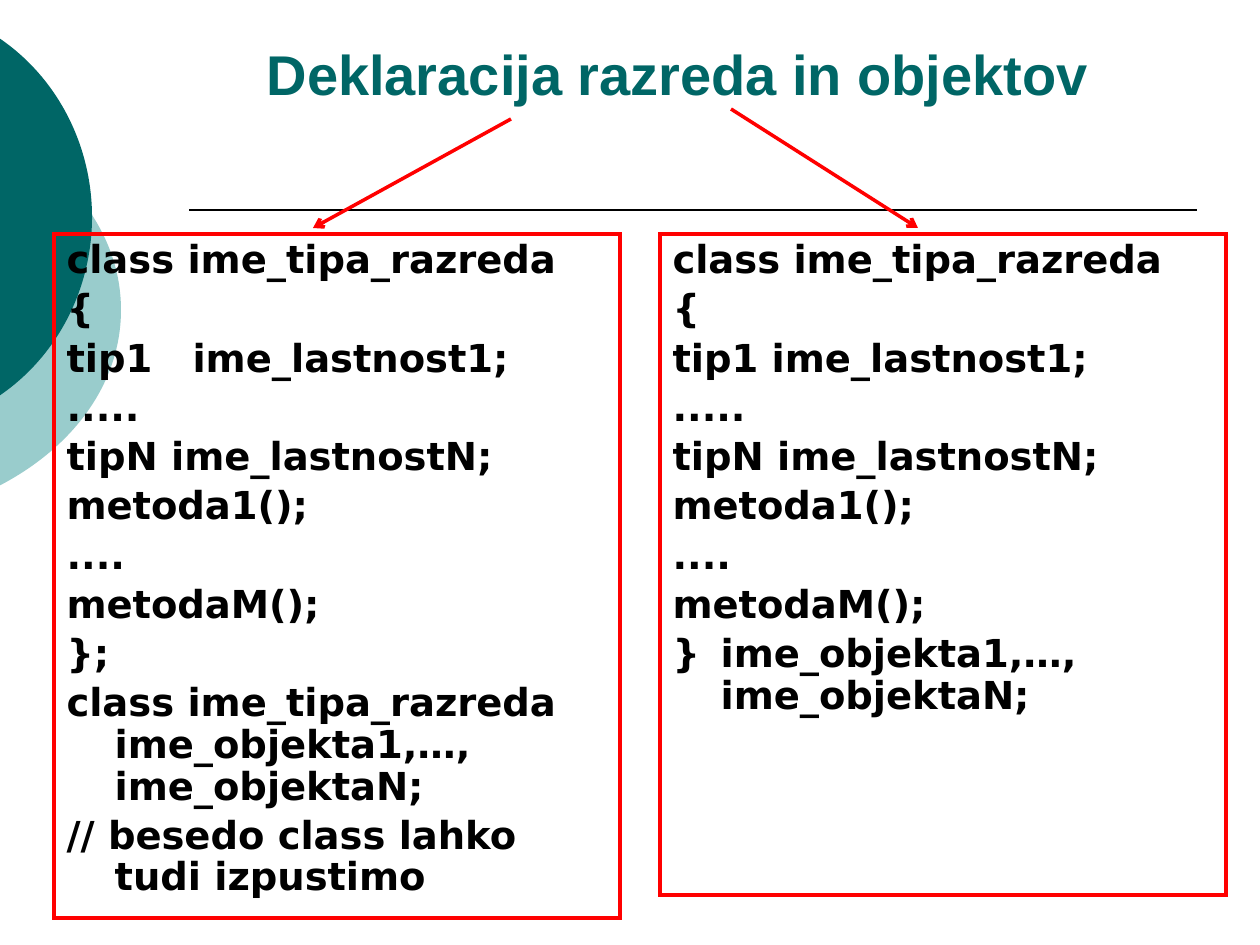
from dataclasses import dataclass

from lxml import etree
from pptx import Presentation, util as u
from pptx.dml.color import RGBColor
from pptx.enum import shapes, text
from pptx.oxml.ns import qn

SCALE = u.Inches(1) / 126
COLORS = {"teal": "006666", "pale": "99CCCC", "red": "FF0000", "black": "000000"}
HANG = 48
CLASS_LINES = [
    "class ime_tipa_razreda",
    "{",
    "tip1 ime_lastnost1;",
    ".....",
    "tipN ime_lastnostN;",
    "metoda1();",
    "....",
    "metodaM();",
]


@dataclass(frozen=True)
class Cap:
    """Visible part of a disc; its upper half is one Bézier curve in slide px."""
    color: str
    frame: tuple
    curve: tuple


@dataclass(frozen=True)
class Line:
    start: tuple
    end: tuple
    color: str
    points: int
    arrow: bool = False


@dataclass(frozen=True)
class CodeBox:
    left: int
    height: int
    lines: list
    tab: int = 0


CAPS = [
    Cap("pale", (-446, 95, 567, 431), ((-1, 134), (76, 174), (121, 239), (121, 310))),
    Cap("teal", (-334, 0, 426, 435), ((-1, 38), (58, 78), (92, 146), (92, 217))),
]
LINES = [
    Line((189, 210), (1197, 210), "black", 1),
    Line((511, 119), (313, 228), "red", 2, arrow=True),
    Line((731, 109), (918, 228), "red", 2, arrow=True),
]
CODE_BOXES = [
    CodeBox(54, 684, [
        *(line.replace("tip1 ", "tip1\t") for line in CLASS_LINES),
        "};",
        "class ime_tipa_razreda ime_objekta1,…, ime_objektaN;",
        "// besedo class lahko tudi izpustimo",
    ], tab=126),
    CodeBox(660, 661, [*CLASS_LINES, "}\time_objekta1,…, ime_objektaN;"]),
]


def emu(px: float) -> int:
    return round(px * SCALE)


def rgb(name: str) -> RGBColor:
    return RGBColor.from_string(COLORS[name])


def place(shape, left: int, top: int, width: int, height: int) -> None:
    shape.left, shape.top = emu(left), emu(top)
    shape.width, shape.height = emu(width), emu(height)


def set_font(font, name: str, points: int, color: str) -> None:
    font.name, font.size, font.bold = name, u.Pt(points), True
    font.color.rgb = rgb(color)


def curve_outline(disc, cap: Cap) -> None:
    """Give the freeform a path of two mirrored Bézier curves and a straight edge."""
    left, top, width, height = cap.frame
    start, *upper = cap.curve
    middle = upper[-1][1]
    lower = [(x, 2 * middle - y) for x, y in reversed(cap.curve[:-1])]
    outline = next(disc._element.iter(qn("a:pathLst")))[0]
    for segment in list(outline):
        outline.remove(segment)
    outline.set("w", str(emu(width)))
    outline.set("h", str(emu(height)))
    for tag, points in (("moveTo", [start]), ("cubicBezTo", upper),
                        ("cubicBezTo", lower), ("close", [])):
        segment = etree.SubElement(outline, qn(f"a:{tag}"))
        for x, y in points:
            etree.SubElement(segment, qn("a:pt"), x=str(emu(x - left)), y=str(emu(y - top)))


def draw_cap(slide, cap: Cap) -> None:
    builder = slide.shapes.build_freeform(*cap.curve[0], scale=SCALE)
    builder.add_line_segments(cap.curve[1:])
    disc = builder.convert_to_shape()
    curve_outline(disc, cap)
    place(disc, *cap.frame)
    disc.shadow.inherit = False
    disc.fill.solid()
    disc.fill.fore_color.rgb = rgb(cap.color)
    disc.line.fill.background()


def draw_line(slide, line: Line) -> None:
    connector = slide.shapes.add_connector(
        shapes.MSO_CONNECTOR.STRAIGHT, *map(emu, line.start + line.end))
    connector.line.color.rgb = rgb(line.color)
    connector.line.width = u.Pt(line.points)
    if line.arrow:
        etree.SubElement(connector.line._get_or_add_ln(), qn("a:tailEnd"), type="arrow")
    etree.SubElement(connector._element.spPr, qn("a:effectLst"))


def fill_title(title) -> None:
    place(title, 174, 30, 1008, 83)
    frame = title.text_frame
    frame.text = "Deklaracija razreda in objektov"
    frame.auto_size = text.MSO_AUTO_SIZE.NONE
    frame.vertical_anchor = text.MSO_ANCHOR.BOTTOM
    heading = frame.paragraphs[0]
    heading.alignment = text.PP_ALIGN.CENTER
    set_font(heading.font, "Arial", 32, "teal")


def fill_code_box(body, box: CodeBox) -> None:
    place(body, box.left, 234, 566, box.height)
    body.line.color.rgb = rgb("red")
    body.line.width = u.Pt(2)
    etree.SubElement(body.line._get_or_add_ln(), qn("a:miter"), lim="800000")
    frame = body.text_frame
    frame.text = "\n".join(box.lines)
    frame.auto_size = text.MSO_AUTO_SIZE.NONE
    frame.word_wrap = True
    frame.vertical_anchor = text.MSO_ANCHOR.TOP
    for paragraph in frame.paragraphs:
        paragraph.alignment = text.PP_ALIGN.LEFT
        paragraph.line_spacing = 0.9
        paragraph.space_before = u.Pt(4.4)
        own_tab = box.tab and "\t" in paragraph.text
        hang = 0 if own_tab else emu(HANG)
        props = paragraph._p.get_or_add_pPr()
        props.set("marL", str(hang))
        props.set("indent", str(-hang))
        etree.SubElement(props, qn("a:buNone"))
        if own_tab:
            stops = etree.SubElement(props, qn("a:tabLst"))
            etree.SubElement(stops, qn("a:tab"), pos=str(emu(box.tab)), algn="l")
        set_font(paragraph.font, "DejaVu Sans", 22, "black")


def main() -> None:
    deck = Presentation()
    deck.slide_width, deck.slide_height = emu(1260), emu(945)
    slide = deck.slides.add_slide(deck.slide_layouts.get_by_name("Two Content"))
    title, *bodies = slide.placeholders
    for cap in CAPS:
        draw_cap(slide, cap)
    draw_line(slide, LINES[0])
    for placeholder in (title, *reversed(bodies)):
        slide.shapes._spTree.append(placeholder._element)  # in front of the discs
    fill_title(title)
    for body, box in zip(bodies, CODE_BOXES):
        fill_code_box(body, box)
    for arrow in LINES[1:]:
        draw_line(slide, arrow)
    deck.save("out.pptx")


if __name__ == "__main__":
    main()
